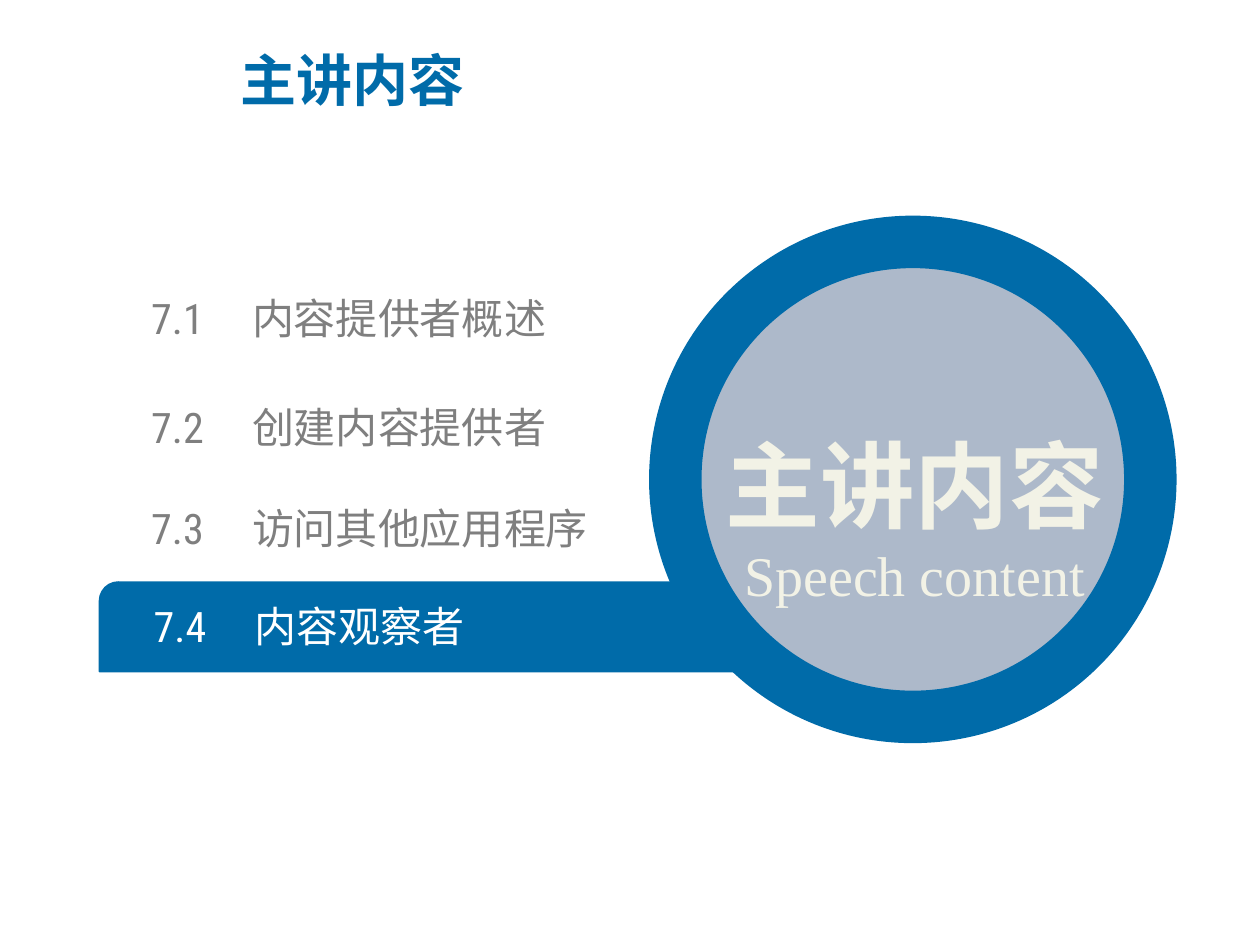
from lxml import etree
from pptx import Presentation
from pptx.dml.color import RGBColor
from pptx.enum.shapes import MSO_SHAPE
from pptx.enum.text import MSO_ANCHOR, MSO_AUTO_SIZE, PP_ALIGN
from pptx.oxml.ns import qn
from pptx.util import Inches, Pt

BLUE, GREY, WHITE = "006BA9", "7F7F7F", "FFFFFF"
DISC, CREAM = "ADB9CA", "F2F2E6"
CHINESE, NUMERIC, ENGLISH = "Noto Sans CJK SC", "Roboto Condensed", "Times New Roman"


def rgb(value):
    return RGBColor.from_string(value)


def place(shape, box):
    shape.left, shape.top, shape.width, shape.height = map(Inches, box)


def style(para, font, size, colour, bold=False, align=PP_ALIGN.LEFT):
    para.alignment = align
    for span in para.runs:
        span.font.name, span.font.size, span.font.bold = font, Pt(size), bold
        span.font.color.rgb = rgb(colour)
        # Chinese characters take their own typeface
        east_asian = etree.SubElement(span.font._element, qn("a:ea"))
        east_asian.set("typeface", CHINESE)


def add_filled(slide, preset, box, fill, line, line_width):
    shape = slide.shapes.add_shape(preset, *map(Inches, box))
    shape.shadow.inherit = False
    shape.fill.solid()
    shape.fill.fore_color.rgb = rgb(fill)
    shape.line.color.rgb = rgb(line)
    shape.line.width = Pt(line_width)
    return shape


def add_text(slide, box):
    frame = slide.shapes.add_textbox(*map(Inches, box)).text_frame
    frame.word_wrap = True
    frame.vertical_anchor = MSO_ANCHOR.MIDDLE
    return frame


def set_title(slide, box, text):
    title = slide.shapes.title
    place(title, box)
    frame = title.text_frame
    frame.text = text
    frame.auto_size = MSO_AUTO_SIZE.NONE
    frame.vertical_anchor = MSO_ANCHOR.MIDDLE
    style(frame.paragraphs[0], CHINESE, 32, BLUE, bold=True)


def add_entry(slide, box, number, topic, colour):
    frame = add_text(slide, box)
    frame.margin_left = frame.margin_right = frame.margin_top = frame.margin_bottom = 0
    para = frame.paragraphs[0]
    para.text = f"{number}\t{topic}"
    style(para, NUMERIC, 24, colour)
    # Hanging indent lines the topics up after the numbers
    properties = para._p.get_or_add_pPr()
    properties.set("marL", str(Inches(0.8)))
    properties.set("indent", str(-Inches(0.8)))


def add_current_entry(slide, box, number, topic):
    left, top, width, height = box
    bar = add_filled(slide, MSO_SHAPE.ROUND_2_DIAG_RECTANGLE, box, BLUE, BLUE, 1)
    bar.adjustments[0], bar.adjustments[1] = 0.21, 0
    add_entry(slide, (left + 0.43, top + 0.15, 4.19, 0.4), number, topic, WHITE)


def add_emblem(slide, box, heading, subtitle):
    left, top, size, _ = box
    add_filled(slide, MSO_SHAPE.OVAL, box, DISC, BLUE, 30)
    frame = add_text(slide, (left - 0.05, top + 0.96, size + 0.13, 2))
    frame.text = f"{heading}\n{subtitle}"
    first, second = frame.paragraphs
    first.line_spacing = 1.5
    style(first, CHINESE, 54, CREAM, bold=True, align=PP_ALIGN.CENTER)
    style(second, ENGLISH, 32, CREAM, align=PP_ALIGN.CENTER)


def main():
    deck = Presentation()
    deck.slide_width, deck.slide_height = Inches(10), Inches(7.5)
    slide = deck.slides.add_slide(deck.slide_layouts[5])

    set_title(slide, (1.81, 0.21, 5.63, 0.84), "主讲内容")

    # Contents list, with the current section on a bar
    add_current_entry(slide, (0.79, 4.62, 5.35, 0.71), "7.4", "内容观察者")
    for top, number, topic in (
        (2.32, "7.1", "内容提供者概述"),
        (3.19, "7.2", "创建内容提供者"),
        (3.99, "7.3", "访问其他应用程序"),
    ):
        add_entry(slide, (1.2, top, 4.19, 0.4), number, topic, GREY)

    # Round emblem over the end of the bar
    add_emblem(slide, (5.36, 1.92, 3.77, 3.77), "主讲内容", "Speech content")

    deck.save("out.pptx")


if __name__ == "__main__":
    main()
